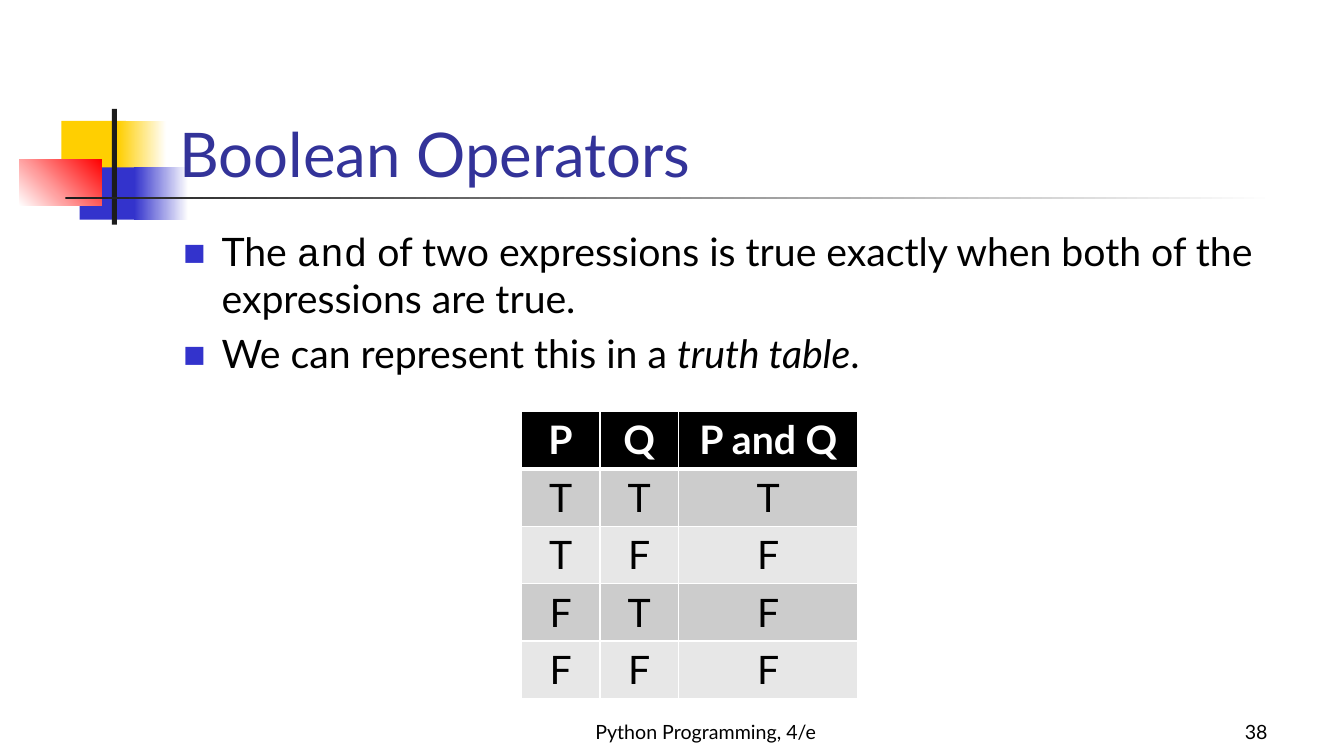
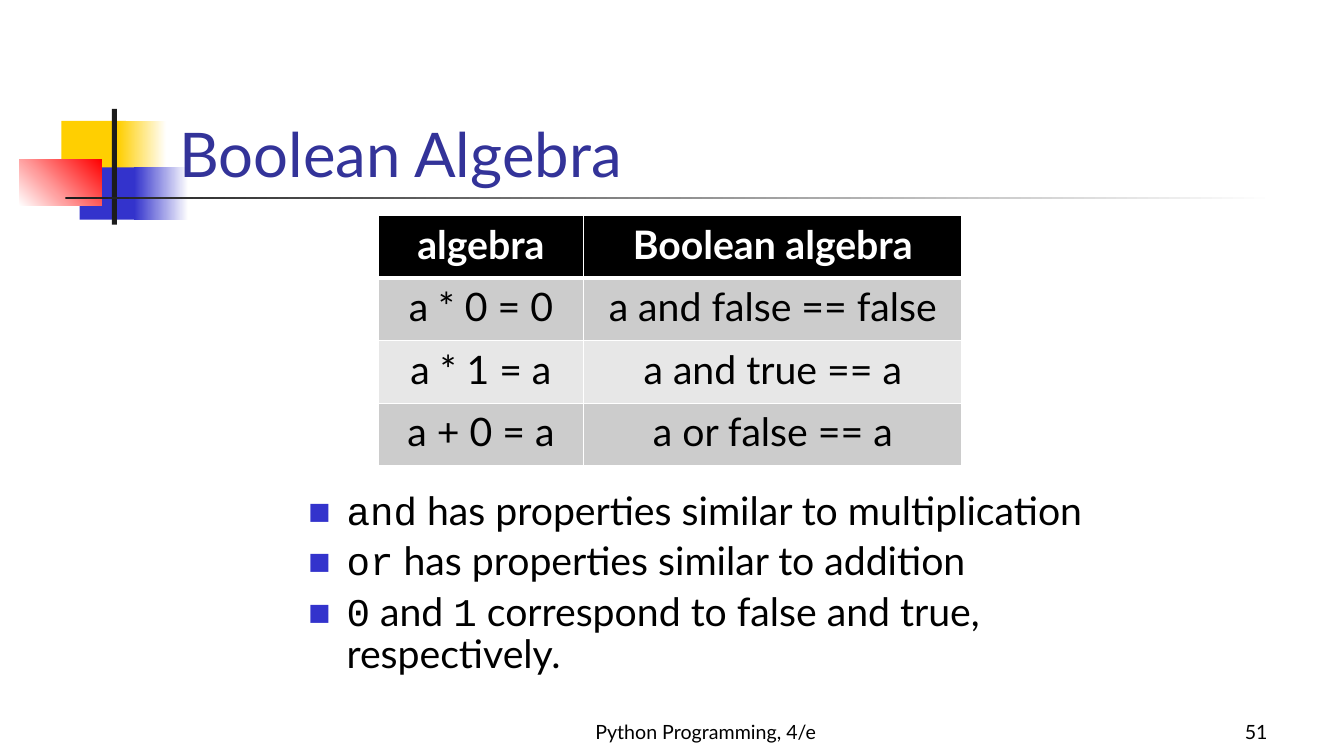
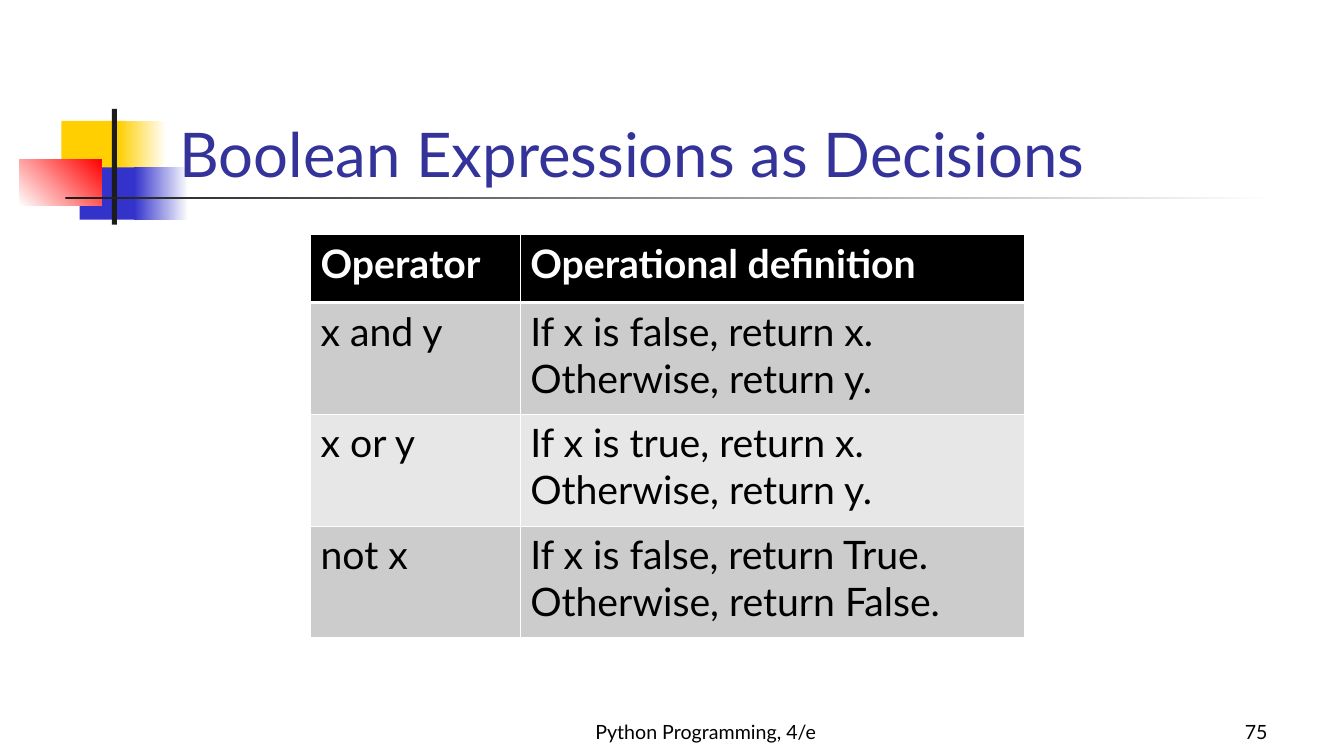
"""Build three slides on Boolean operators, algebra and decisions."""
from lxml.etree import SubElement as Sub
from pptx import Presentation as Deck
from pptx.dml.color import RGBColor as RGB
from pptx.enum.shapes import MSO_SHAPE as Form
from pptx.enum.text import MSO_ANCHOR as Anchor, PP_ALIGN as Align
from pptx.oxml.ns import qn
from pptx.util import Inches, Pt

WHITE = RGB(0xFF, 0xFF, 0xFF)
BLACK = RGB(0, 0, 0)
INK = RGB(0x1C, 0x1C, 0x1C)
GOLD = RGB(0xFF, 0xCF, 0x01)
BLUE = RGB(0x33, 0x33, 0xCC)
RED = RGB(0xFF, 0, 0)
NAVY = RGB(0x33, 0x33, 0x99)
DARK = RGB(0xCC, 0xCC, 0xCC)
LIGHT = RGB(0xE7, 0xE7, 0xE7)
SANS = "Lato"
MONO = "Courier New"
BODY = 28


class Show:
    def __init__(self):
        self.deck = Deck()
        self.deck.slide_width = Inches(13.33)
        self.deck.slide_height = Inches(7.5)
        self.slide = None

    def start(self, title, number):
        self.slide = self.deck.slides.add_slide(self.deck.slide_layouts[6])
        self.block((0.61, 1.2, 0.64, 0.52), GOLD)
        self.block((1.17, 1.2, 0.48, 0.52), GOLD, WHITE)
        self.block((0.79, 1.66, 0.62, 0.52), BLUE)
        self.block((1.33, 1.66, 0.54, 0.52), BLUE, WHITE)
        self.block((0.19, 1.58, 0.82, 0.46), WHITE, RED, 45)
        self.block((1.11, 1.08, 0.05, 1.15), INK)
        self.block((0.65, 1.95, 12, 0.03), INK, WHITE)
        self.label((4.89, 6.92, 4.22, 0.5), "Python Programming, 4/e", 14, BLACK, Align.CENTER)
        self.label((9.89, 6.92, 2.78, 0.5), str(number), 14, BLACK, Align.RIGHT)
        self.label((1.68, 0.68, 11.36, 1.25), title, 44, NAVY, Align.LEFT)

    def block(self, box, tint, fade=None, angle=0):
        shape = self.slide.shapes.add_shape(Form.RECTANGLE, *map(Inches, box))
        shape.shadow.inherit = False
        shape.line.fill.background()
        if fade is None:
            shape.fill.solid()
            shape.fill.fore_color.rgb = tint
            return
        shape.fill.gradient()
        shape.fill.gradient_angle = angle
        for stop, shade in zip(shape.fill.gradient_stops, (tint, fade)):
            stop.color.rgb = shade

    def frame(self, box, anchor):
        frame = self.slide.shapes.add_textbox(*map(Inches, box)).text_frame
        frame.word_wrap = True
        frame.vertical_anchor = anchor
        return frame

    def run(self, para, text, size=BODY, color=BLACK, face=SANS, bold=False, slant=False):
        run = para.add_run()
        run.text = text
        font = run.font
        font.name, font.size, font.bold, font.italic = face, Pt(size), bold, slant
        font.color.rgb = color

    def label(self, box, text, size, color, align):
        para = self.frame(box, Anchor.BOTTOM).paragraphs[0]
        para.alignment = align
        self.run(para, text, size, color)

    def points(self, box, items, pitch=1.0):
        frame = self.frame(box, Anchor.TOP)
        for i, item in enumerate(items):
            para = frame.add_paragraph() if i else frame.paragraphs[0]
            para.line_spacing = pitch
            para.space_before = Pt(0.2 * BODY if i else 0)
            self.bullet(para)
            for text, style in item:
                self.run(para, text, **style)

    def bullet(self, para):
        props = para._p.get_or_add_pPr()
        props.set("marL", str(Inches(0.38)))
        props.set("indent", str(-Inches(0.38)))
        Sub(Sub(props, qn("a:buClr")), qn("a:srgbClr"), val=str(BLUE))
        Sub(props, qn("a:buSzPct"), val="60000")
        Sub(props, qn("a:buFont"), typeface=SANS)
        Sub(props, qn("a:buChar"), char="■")

    def table(self, spot, cols, highs, rows, align=Align.CENTER):
        size = sum(cols), sum(highs)
        grid = self.slide.shapes.add_table(
            len(rows), len(cols), *map(Inches, (*spot, *size))).table
        for col, wide in zip(grid.columns, cols):
            col.width = Inches(wide)
        for i, (row, high, texts) in enumerate(zip(grid.rows, highs, rows)):
            row.height = Inches(high)
            head = i == 0
            fill = BLACK if head else DARK if i % 2 else LIGHT
            for cell, text in zip(row.cells, texts):
                self.edge(cell, 3 if i == 1 else 1, 3 if head else 1)
                cell.fill.solid()
                cell.fill.fore_color.rgb = fill
                para = cell.text_frame.paragraphs[0]
                para.alignment = align
                self.run(para, text, color=WHITE if head else BLACK, bold=head)

    def edge(self, cell, top, base):
        props = cell._tc.get_or_add_tcPr()
        for side, wide in zip("LRTB", (1, 1, top, base)):
            line = Sub(props, qn("a:ln" + side), w=str(Pt(wide)))
            Sub(Sub(line, qn("a:solidFill")), qn("a:srgbClr"), val=str(WHITE))


def main():
    plain, code, slant = {}, {"face": MONO}, {"slant": True}
    show = Show()

    show.start("Boolean Operators", 38)
    show.points((1.72, 2.21, 11.33, 4.5), [
        [("The ", plain), ("and", code),
         (" of two expressions is true exactly when both of the expressions are true.", plain)],
        [("We can represent this in a ", plain), ("truth table", slant), (".", plain)],
    ])
    show.table((5.17, 4.08), (0.78, 0.78, 1.78), [0.57] * 5,
               [("P", "Q", "P and Q"), "TTT", "TFF", "FTF", "FFF"])

    show.start("Boolean Algebra", 51)
    show.points((2.96, 4.83, 8.5, 1.87), [
        [("and", code), (" has properties similar to multiplication", plain)],
        [("or", code), (" has properties similar to addition", plain)],
        [("0", code), (" and ", plain), ("1", code),
         (" correspond to false and true, respectively.", plain)],
    ], 0.9)
    show.table((3.75, 2.14), (2.04, 3.75), [0.62] * 4, [
        ("algebra", "Boolean algebra"),
        ("a * 0 = 0", "a and false == false"),
        ("a * 1 = a", "a and true == a"),
        ("a + 0 = a", "a or false == a"),
    ])

    show.start("Boolean Expressions as Decisions", 75)
    show.table((3.08, 2.33), (2.08, 5), [0.67] + [1.11] * 3, [
        ("Operator", "Operational definition"),
        ("x and y", "If x is false, return x. Otherwise, return y."),
        ("x or y", "If x is true, return x. Otherwise, return y."),
        ("not x", "If x is false, return True. Otherwise, return False."),
    ], Align.LEFT)

    show.deck.save("out.pptx")


if __name__ == "__main__":
    main()
